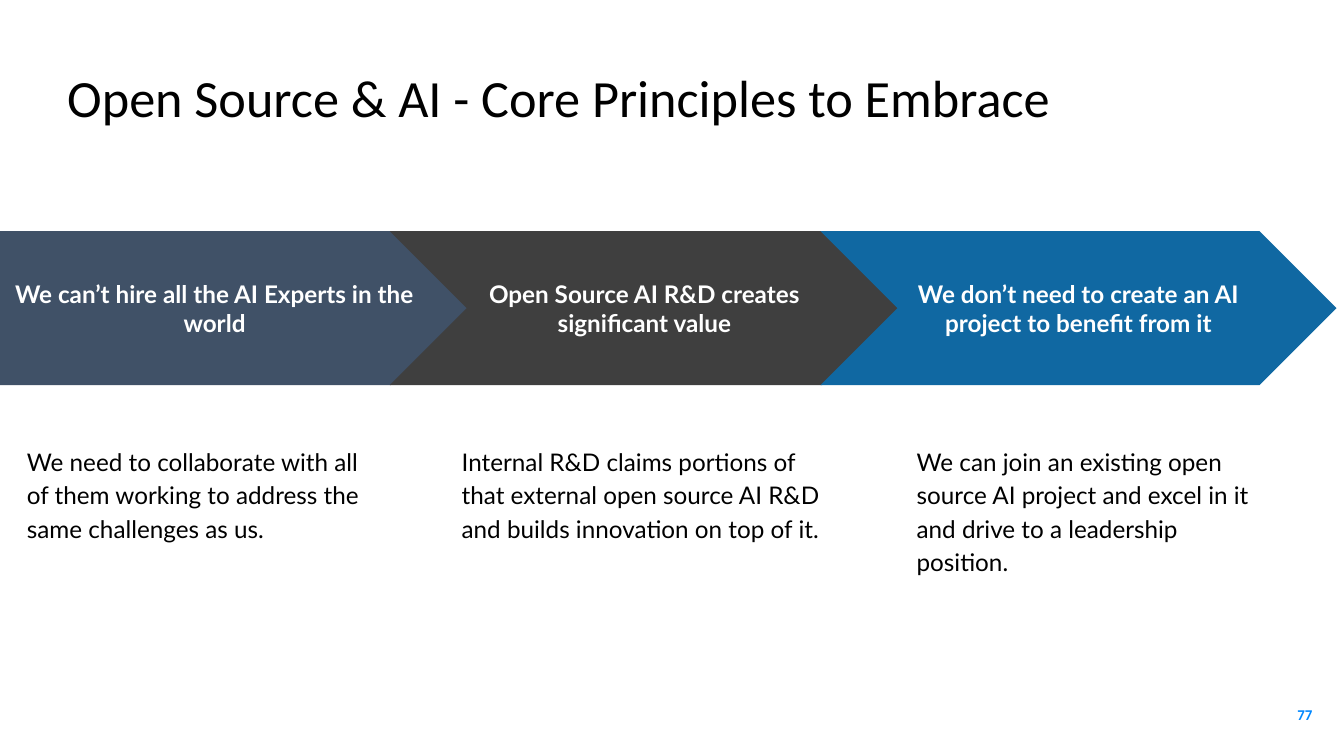
from lxml import etree
from pptx import Presentation
from pptx.dml.color import RGBColor
from pptx.enum.shapes import MSO_SHAPE
from pptx.enum.text import MSO_ANCHOR, PP_ALIGN
from pptx.oxml.ns import qn
from pptx.util import Pt

EMU_PER_PX = 9144  # 100 px to the inch
TITLE_ONLY = 5
PENTAGON, CHEVRON = MSO_SHAPE.PENTAGON, MSO_SHAPE.CHEVRON
TOP, MIDDLE = MSO_ANCHOR.TOP, MSO_ANCHOR.MIDDLE
LEFT, CENTER, RIGHT = PP_ALIGN.LEFT, PP_ALIGN.CENTER, PP_ALIGN.RIGHT

COLORS = {
    "text": "000000",
    "white": "FFFFFF",
    "navy": "001735",
    "charcoal": "3F3F3F",
    "blue": "1068A2",
    "page": "0088FF",
}


def px(*lengths):
    return [length * EMU_PER_PX for length in lengths]


class SlideBuilder:
    heading_font = "Calibri"
    body_font = "Lato"
    body_size = 26

    def __init__(self, slide):
        self.slide = slide

    def set_text(self, shape, text, font, size, color, bold=False,
                 align=LEFT, anchor=TOP, inset=15, spacing=None):
        frame = shape.text_frame
        frame.word_wrap = True
        frame.vertical_anchor = anchor
        margin = inset * EMU_PER_PX
        frame.margin_left = frame.margin_right = margin
        frame.margin_top = frame.margin_bottom = margin
        frame.text = text
        paragraph = frame.paragraphs[0]
        paragraph.alignment = align
        if spacing:
            paragraph.line_spacing = spacing
        paragraph.font.name = font
        paragraph.font.size = Pt(size)
        paragraph.font.bold = bold
        paragraph.font.color.rgb = RGBColor.from_string(COLORS[color])

    def title(self, box, text):
        title = self.slide.shapes.title
        title.left, title.top, title.width, title.height = px(*box)
        self.set_text(title, text, self.heading_font, 56, "text", inset=0)

    def arrow(self, kind, box, text, color, opacity=100):
        arrow = self.slide.shapes.add_shape(kind, *px(*box))
        arrow.shadow.inherit = False
        arrow.adjustments[0] = 0.5
        arrow.fill.solid()
        arrow.fill.fore_color.rgb = RGBColor.from_string(COLORS[color])
        arrow.line.fill.background()
        if opacity < 100:
            fill_color = arrow._element.spPr.find(qn("a:solidFill"))[0]
            alpha = etree.SubElement(fill_color, qn("a:alpha"))
            alpha.set("val", str(opacity * 1000))
        self.set_text(arrow, text, self.body_font, self.body_size, "white",
                      bold=True, align=CENTER, anchor=MIDDLE)

    def note(self, box, text):
        note = self.slide.shapes.add_textbox(*px(*box))
        self.set_text(note, text, self.body_font, self.body_size, "text",
                      spacing=1.15)

    def page_number(self, box, number):
        page = self.slide.shapes.add_textbox(*px(*box))
        self.set_text(page, number, self.heading_font, 16, "page", bold=True,
                      align=RIGHT, anchor=MIDDLE, inset=20)


def main():
    deck = Presentation()
    deck.slide_width, deck.slide_height = px(2000, 1125)
    builder = SlideBuilder(
        deck.slides.add_slide(deck.slide_layouts[TITLE_ONLY]))

    builder.title((100, 97, 1864, 125),
                  "Open Source & AI - Core Principles to Embrace")

    # Principles: arrow kind, left, width, colour, opacity, heading,
    # then left, width and text of the explanation below
    principles = [
        (PENTAGON, 0, 696, "navy", 75,
         "We can’t hire all the AI Experts in the world",
         25, 555,
         "We need to collaborate with all of them working to address "
         "the same challenges as us."),
        (CHEVRON, 580, 758, "charcoal", 100,
         "Open Source AI R&D creates significant value",
         672, 573,
         "Internal R&D claims portions of that external open source "
         "AI R&D and builds innovation on top of it."),
        (CHEVRON, 1221, 768, "blue", 100,
         "We don’t need to create an AI project to benefit from it",
         1349, 555,
         "We can join an existing open source AI project and excel in it "
         "and drive to a leadership position."),
    ]
    for (kind, left, width, color, opacity, heading,
         note_left, note_width, explanation) in principles:
        builder.arrow(kind, (left, 344, width, 229), heading, color, opacity)
        builder.note((note_left, 644, note_width, 351), explanation)

    # Page number
    builder.page_number((1853, 1020, 120, 86), "77")

    deck.save("out.pptx")


if __name__ == "__main__":
    main()
